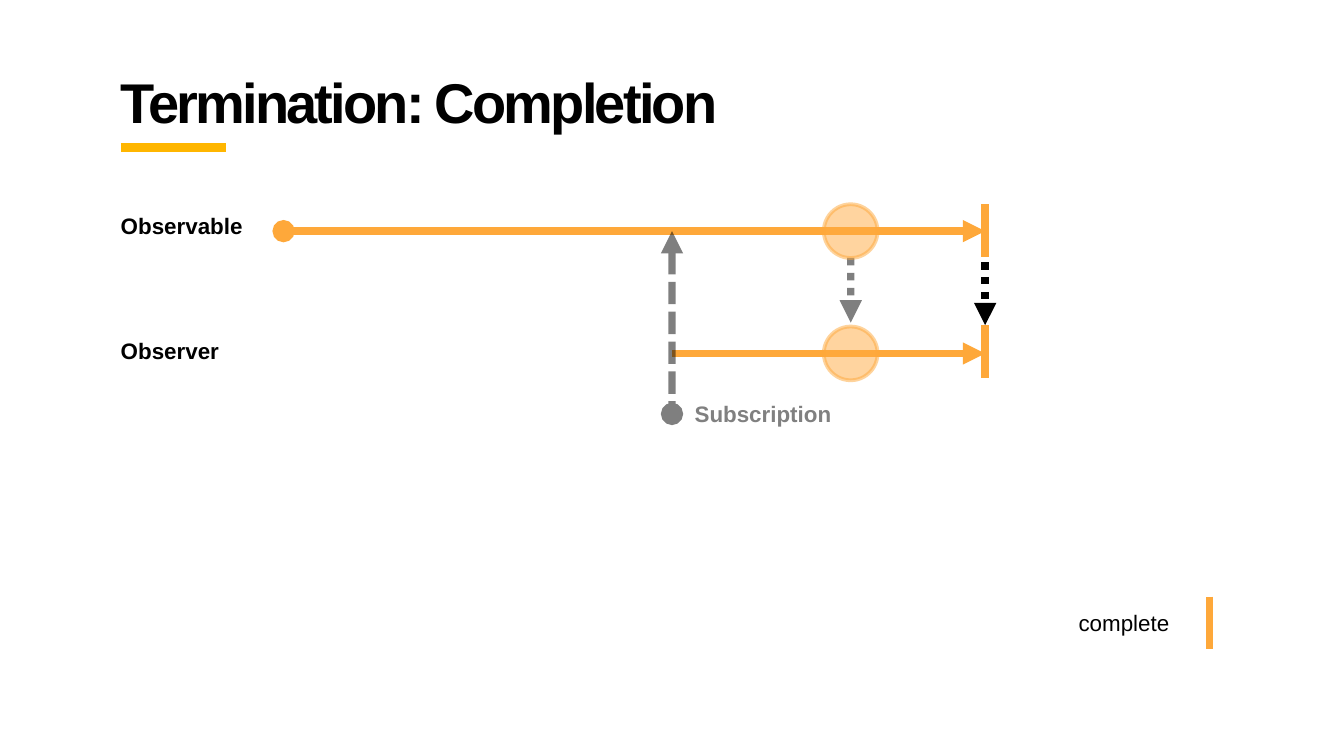
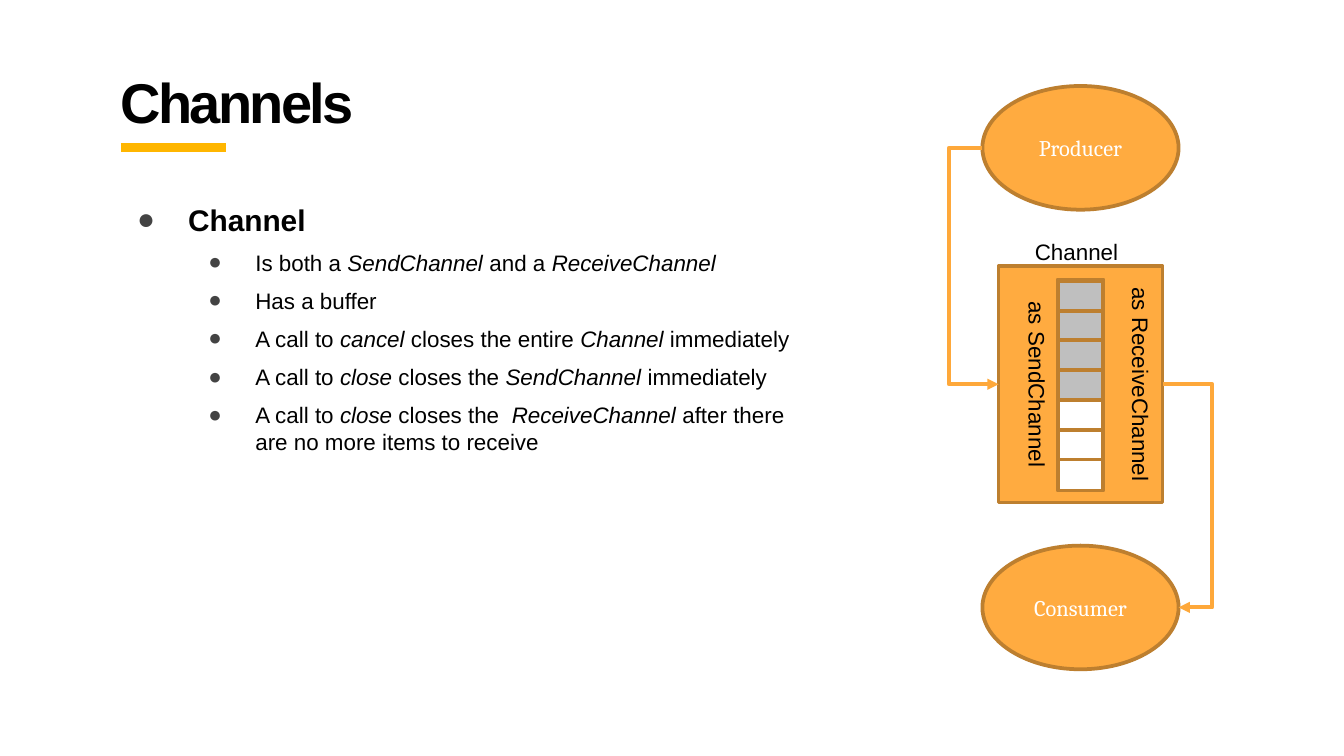
from lxml import etree
from pptx import Presentation
from pptx.dml.color import RGBColor
from pptx.enum.dml import MSO_LINE
from pptx.enum.shapes import MSO_CONNECTOR, MSO_SHAPE
from pptx.enum.text import MSO_ANCHOR, MSO_AUTO_SIZE, PP_ALIGN
from pptx.oxml.ns import qn
from pptx.util import Inches, Pt

# Palette
BLACK = RGBColor(0x00, 0x00, 0x00)
WHITE = RGBColor(0xFF, 0xFF, 0xFF)
GREY = RGBColor(0x80, 0x80, 0x80)
SILVER = RGBColor(0xBF, 0xBF, 0xBF)
BULLET_GREY = RGBColor(0x43, 0x43, 0x43)
YELLOW = RGBColor(0xFF, 0xB6, 0x00)
ORANGE_LINE = RGBColor(0xFE, 0xA8, 0x3A)
ORANGE = RGBColor(0xFF, 0xAB, 0x40)
BROWN = RGBColor(0xBD, 0x7F, 0x2F)

SANS, SERIF = "Arial", "Cambria"
LEFT, CENTER, RIGHT = PP_ALIGN.LEFT, PP_ALIGN.CENTER, PP_ALIGN.RIGHT
TOP, MIDDLE = MSO_ANCHOR.TOP, MSO_ANCHOR.MIDDLE
NO_FIT, GROW = MSO_AUTO_SIZE.NONE, MSO_AUTO_SIZE.SHAPE_TO_FIT_TEXT
DASHED, DOTTED = MSO_LINE.SQUARE_DOT, MSO_LINE.ROUND_DOT
STRAIGHT, ELBOW = MSO_CONNECTOR.STRAIGHT, MSO_CONNECTOR.ELBOW
RECT, ELLIPSE = MSO_SHAPE.RECTANGLE, MSO_SHAPE.OVAL
TITLE_AND_BODY, TITLE_ONLY = 1, 5


def add_xml(parent, tag, **attributes):
    return etree.SubElement(parent, qn(tag), attributes)


def set_opacity(properties, percent):
    for color in properties.iter(qn("a:srgbClr")):
        add_xml(color, "a:alpha", val=str(percent * 1000))


class Deck:
    """Holds the shared style and the current slide."""

    def __init__(self):
        self.presentation = Presentation()
        self.presentation.slide_width = Inches(10)
        self.presentation.slide_height = Inches(10) * 9 // 16
        self.slide = None

    def new_slide(self, title, layout):
        layouts = self.presentation.slide_layouts
        self.slide = self.presentation.slides.add_slide(layouts[layout])
        frame = self.place(self.slide.shapes.title, 0.8, 0.4, 8.35, 0.63)
        paragraph = frame.paragraphs[0]
        run = paragraph.add_run()
        run.text = title
        run._r.get_or_add_rPr().set("spc", "-150")
        self.style(paragraph, 30, bold=True)
        self.line((0.9, 1.1), (1.68, 1.1), YELLOW, 5)

    def place(self, placeholder, left, top, width, height):
        placeholder.left, placeholder.top = Inches(left), Inches(top)
        placeholder.width, placeholder.height = Inches(width), Inches(height)
        frame = placeholder.text_frame
        frame.margin_left = frame.margin_right = Inches(0.1)
        frame.margin_top = frame.margin_bottom = Inches(0.1)
        frame.vertical_anchor = TOP
        frame.auto_size = NO_FIT
        frame.word_wrap = True
        return frame

    def style(self, paragraph, size=12, color=BLACK, bold=False,
              font=SANS, align=LEFT):
        paragraph.alignment = align
        paragraph.font.name = font
        paragraph.font.size = Pt(size)
        paragraph.font.bold = bold
        paragraph.font.color.rgb = color

    def bullets(self, items):
        """Each item is (level, lines); text between asterisks is italic."""
        frame = self.place(self.slide.placeholders[1], 0.8, 1.4, 8.35, 3.59)
        for index, (level, lines) in enumerate(items):
            paragraph = frame.add_paragraph() if index else frame.paragraphs[0]
            for line_number, line in enumerate(lines):
                if line_number:
                    paragraph.add_line_break()
                for part, text in enumerate(line.split("*")):
                    if text:
                        run = paragraph.add_run()
                        run.text = text
                        if part % 2:
                            run.font.italic = True
            paragraph.level = level
            paragraph.space_before = Pt(6 if index else 0)
            properties = paragraph._p.get_or_add_pPr()
            properties.set("marL", str(Inches(0.5 + 0.5 * level)))
            properties.set("indent", str(-Inches(0.35 if level else 0.38)))
            bullet_color = add_xml(properties, "a:buClr")
            add_xml(bullet_color, "a:srgbClr", val=str(BULLET_GREY))
            add_xml(properties, "a:buFont", typeface=SANS)
            add_xml(properties, "a:buChar", char="●")
            self.style(paragraph, size=12 if level else 16, bold=level == 0)

    def label(self, text, left, top, width, height=0.3, vertical=False, **style):
        box = self.slide.shapes.add_textbox(
            Inches(left), Inches(top), Inches(width), Inches(height))
        frame = box.text_frame
        frame.word_wrap = True
        frame.auto_size = GROW
        if vertical:
            frame._txBody.bodyPr.set("vert", "vert")
        frame.text = text
        self.style(frame.paragraphs[0], **style)

    def shape(self, kind, left, top, width, height, fill=ORANGE, outline=BROWN,
              opacity=None, text=None):
        shape = self.slide.shapes.add_shape(
            kind, Inches(left), Inches(top), Inches(width), Inches(height))
        shape.shadow.inherit = False
        shape.fill.solid()
        shape.fill.fore_color.rgb = fill
        shape.line.color.rgb = outline
        shape.line.width = Pt(2)
        if opacity:
            set_opacity(shape._element.spPr, opacity)
        if text:
            shape.text_frame.text = text
            shape.text_frame.vertical_anchor = MIDDLE
            self.style(shape.text_frame.paragraphs[0], color=WHITE,
                       font=SERIF, align=CENTER)

    def line(self, start, end, color=ORANGE_LINE, width=4, dash=None,
             opacity=None, head=None, tail=None, bend_x=None):
        kind = STRAIGHT if bend_x is None else ELBOW
        connector = self.slide.shapes.add_connector(
            kind, *(Inches(value) for value in start + end))
        connector.line.color.rgb = color
        connector.line.width = Pt(width)
        if dash:
            connector.line.dash_style = dash
        properties = connector._element.spPr
        if opacity:
            set_opacity(properties, opacity)
        outline = properties.find(qn("a:ln"))
        if head:
            add_xml(outline, "a:headEnd", type=head)
        if tail:
            add_xml(outline, "a:tailEnd", type=tail)
        if bend_x is not None:
            ratio = (bend_x - start[0]) / (end[0] - start[0])
            guides = next(properties.iter(qn("a:avLst")))
            add_xml(guides, "a:gd", name="adj1",
                    fmla=f"val {round(ratio * 100000)}")
        add_xml(properties, "a:effectLst")


def completion_slide(deck):
    deck.new_slide("Termination: Completion", TITLE_ONLY)
    observable_y, observer_y = 1.72, 2.63
    subscribe_x, item_x, complete_x = 5, 6.33, 7.33

    # Timelines and subscription
    deck.line((2.11, observable_y), (complete_x, observable_y),
              head="oval", tail="triangle")
    deck.line((subscribe_x, observer_y), (complete_x, observer_y),
              tail="triangle")
    deck.line((subscribe_x, observable_y), (subscribe_x, 3.08), BLACK,
              dash=DASHED, opacity=50, head="triangle", tail="oval")

    # Emitted item
    deck.line((item_x, 1.92), (item_x, 2.4), BLACK, dash=DOTTED,
              opacity=50, tail="triangle")
    for timeline_y in (observable_y, observer_y):
        deck.shape(ELLIPSE, item_x - 0.2, timeline_y - 0.2, 0.4, 0.4,
                   outline=ORANGE_LINE, opacity=50)

    # Labels
    deck.label("Observable", 0.8, 1.53, 1.19, 0.64, bold=True)
    deck.label("Observer", 0.8, 2.46, 1.19, bold=True)
    deck.label("Subscription", 5.07, 2.93, 1.4, color=GREY, bold=True)

    # Completion marks and legend
    for x, top in ((complete_x, 1.52), (complete_x, 2.42), (9, 4.44)):
        deck.line((x, top), (x, top + 0.39))
    deck.line((complete_x, 1.95), (complete_x, 2.42), BLACK, dash=DOTTED,
              tail="triangle")
    deck.label("complete", 7.83, 4.48, 0.97, align=RIGHT)


def channels_slide(deck):
    deck.new_slide("Channels", TITLE_AND_BODY)
    deck.bullets([
        (0, ["Channel"]),
        (1, ["Is both a *SendChannel* and a *ReceiveChannel*"]),
        (1, ["Has a buffer"]),
        (1, ["A call to *cancel* closes the entire *Channel* immediately"]),
        (1, ["A call to *close* closes the *SendChannel *immediately"]),
        (1, ["A call to *close* closes the  *ReceiveChannel* after there",
             "are no more items to receive"]),
    ])

    # Channel with its two faces
    channel_top, channel_height = 1.98, 1.76
    deck.shape(RECT, 7.43, channel_top, 1.22, channel_height)
    for face, left in (("as SendChannel", 7.47), ("as ReceiveChannel", 8.24)):
        deck.label(face, left, channel_top, 0.4, channel_height,
                   vertical=True, align=CENTER)

    # Buffer: four filled cells, then free ones
    buffer_left, buffer_width = 7.87, 0.34
    first_cell, last_cell, cell_count = 2.09, 3.2, 6
    pitch = (last_cell - first_cell) / (cell_count - 1)
    deck.shape(RECT, buffer_left, 2.08, buffer_width, 1.57, fill=WHITE)
    for cell in range(cell_count):
        deck.shape(RECT, buffer_left, first_cell + cell * pitch, buffer_width,
                   0.22, fill=SILVER if cell < 4 else WHITE)
    deck.label("Channel", 7.37, 1.72, 1.28, align=CENTER)

    # Both ends and the flow between them
    for role, top in (("Producer", 0.64), ("Consumer", 4.06)):
        deck.shape(ELLIPSE, 7.31, top, 1.46, 0.92, text=role)
    deck.line((7.31, 1.1), (7.43, 2.86), width=2, tail="triangle", bend_x=7.06)
    deck.line((8.65, 2.86), (8.77, 4.52), width=2, tail="triangle", bend_x=9.02)


def main():
    deck = Deck()
    completion_slide(deck)
    channels_slide(deck)
    deck.presentation.save("out.pptx")


if __name__ == "__main__":
    main()
